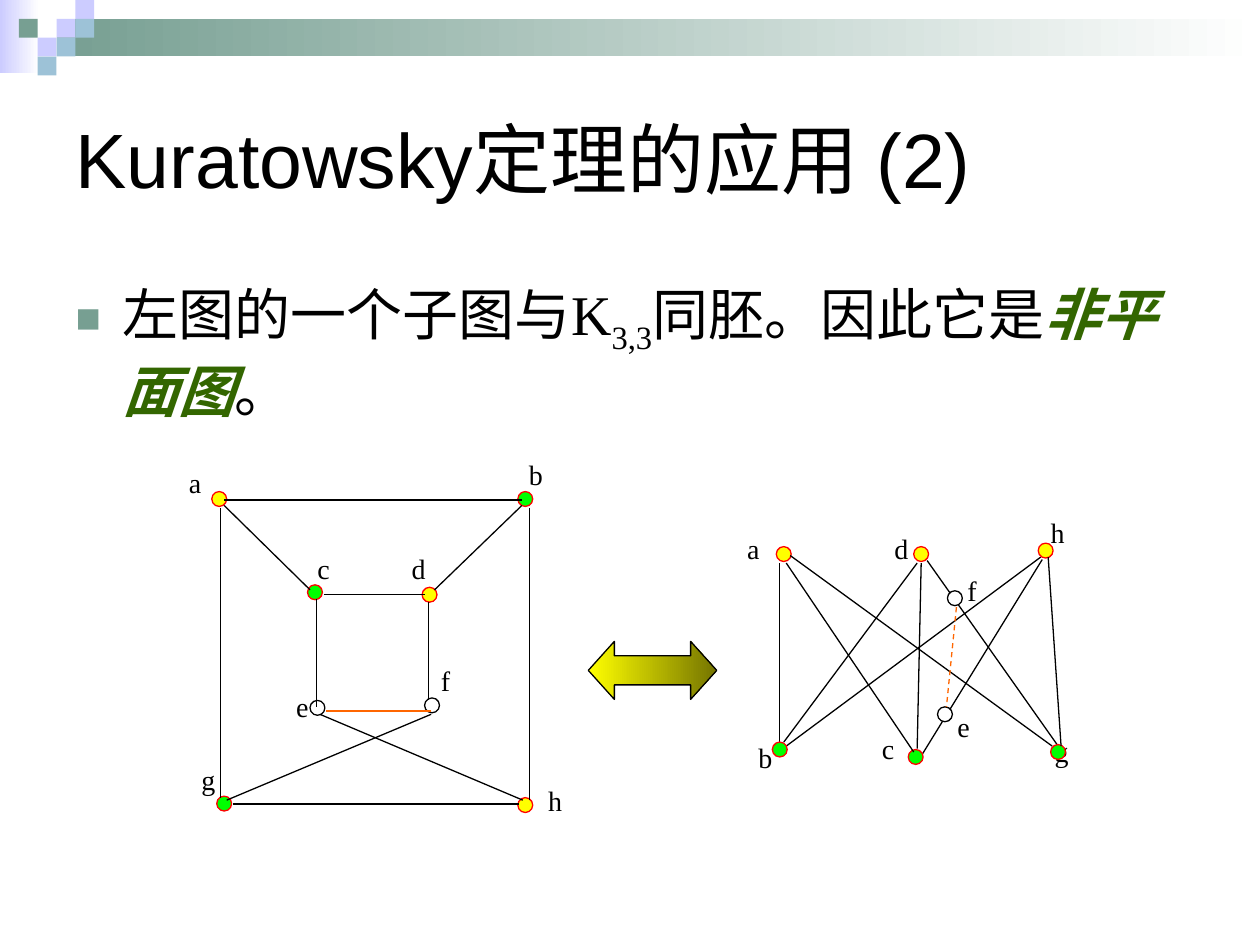
from lxml import etree
from pptx import Presentation
from pptx.dml.color import RGBColor
from pptx.enum import dml, shapes, text
from pptx.oxml import ns
from pptx.util import Cm, Pt

BLACK, WHITE, RED, ORANGE = "000000", "FFFFFF", "FF0000", "FF6600"
YELLOW, GREEN, DARK_GREEN = "FFFF00", "00FF00", "336600"
TEAL, LILAC, SKY = "779F92", "CCCCFF", "9DC2D7"
SERIF = "Times New Roman"
CELL = 0.38  # side of a header square, cm
DOT = 0.3

# vertex: (name, left, top, fill, label left, label top), all in cm
CUBE_VERTICES = [
    ("a", 4.27, 9.91, YELLOW, 3.56, 9.27),
    ("g", 4.37, 16.05, GREEN, 3.81, 15.24),
    ("c", 6.2, 11.79, GREEN, 6.15, 11),
    ("e", 6.25, 14.12, None, 5.72, 13.77),
    ("b", 10.44, 9.91, GREEN, 10.41, 9.09),
    ("h", 10.44, 16.08, YELLOW, 10.8, 15.67),
    ("f", 8.56, 14.07, WHITE, 8.64, 13.26),
    ("d", 8.51, 11.84, YELLOW, 8.05, 11),
]
K33_VERTICES = [
    ("a", 15.65, 11.02, YELLOW, 14.81, 10.59),
    ("d", 18.42, 11.02, YELLOW, 17.78, 10.59),
    ("h", 20.93, 10.95, YELLOW, 20.93, 10.26),
    ("b", 15.57, 14.96, GREEN, 15.04, 14.81),
    ("c", 18.31, 15.11, GREEN, 17.53, 14.63),
    ("g", 21.18, 15.01, GREEN, 21.01, 14.68),
    ("f", 19.1, 11.91, WHITE, 19.25, 11.43),
    ("e", 18.9, 14.25, WHITE, 19.05, 14.17),
]
# edge: (x1, y1, x2, y2) in cm
CUBE_EDGES = [
    (4.52, 10.08, 10.52, 10.08),
    (4.7, 16.21, 10.46, 16.21),
    (4.45, 10.24, 4.45, 16.08),
    (10.67, 10.24, 10.67, 16.13),
    (6.53, 11.99, 8.56, 11.99),
    (6.38, 12.07, 6.38, 14.25),
    (8.64, 12.14, 8.64, 14.12),
    (4.52, 10.19, 6.25, 11.89),
    (8.76, 11.89, 10.52, 10.19),
    (4.57, 16.13, 8.69, 14.4),
    (6.45, 14.4, 10.54, 16.13),
]
K33_EDGES_UNDER = [
    (15.85, 15.04, 20.98, 11.23),
    (21.01, 11.28, 18.57, 15.24),
    (18.69, 11.3, 21.31, 15.01),
    (15.72, 11.35, 15.72, 15.11),
]
K33_EDGES_OVER = [
    (15.85, 11.35, 18.42, 15.16),
    (15.93, 11.2, 21.21, 15.04),
    (18.49, 11.35, 15.8, 14.96),
    (18.57, 11.35, 18.49, 15.09),
    (21.13, 11.23, 21.39, 15.04),
]


def color(hex_code):
    return RGBColor.from_string(hex_code)


def add_text(paragraph, words, size=16, font=SERIF, fill=BLACK, strong=False, baseline=None):
    """Append a run; strong means bold italic, baseline is a percentage."""
    run = paragraph.add_run()
    run.text = words
    run.font.size = Pt(size)
    run.font.name = font
    run.font.color.rgb = color(fill)
    run.font.bold = run.font.italic = strong
    if baseline is not None:
        run.font._element.set("baseline", str(baseline * 1000))


def add_figure(slide, kind, box, fill=None, outline=None):
    """Add a preset shape; a pair of colours as fill runs from left to right."""
    figure = slide.shapes.add_shape(kind, *map(Cm, box))
    figure.shadow.inherit = False
    if isinstance(fill, tuple):
        figure.fill.gradient()
        figure.fill.gradient_angle = 0
        for stop, shade in zip(figure.fill.gradient_stops, fill):
            stop.color.rgb = color(shade)
    elif fill:
        figure.fill.solid()
        figure.fill.fore_color.rgb = color(fill)
    else:
        figure.fill.background()
    if outline:
        figure.line.color.rgb = color(outline)
        figure.line.width = Pt(0.75)
    else:
        figure.line.fill.background()
    return figure


def add_edge(slide, ends, stroke=BLACK, dashed=False):
    edge = slide.shapes.add_connector(shapes.MSO_CONNECTOR.STRAIGHT, *map(Cm, ends))
    edge.line.color.rgb = color(stroke)
    edge.line.width = Pt(0.75)
    if dashed:
        edge.line.dash_style = dml.MSO_LINE.DASH
    etree.SubElement(edge._element.spPr, ns.qn("a:effectLst"))


def add_edges(slide, edges):
    for ends in edges:
        add_edge(slide, ends)


def add_dots(slide, vertices):
    for _, left, top, fill, *_ in vertices:
        outline = RED if fill in (YELLOW, GREEN) else BLACK
        add_figure(slide, shapes.MSO_SHAPE.OVAL, (left, top, DOT, DOT), fill, outline)


def add_labels(slide, vertices):
    for name, *_, left, top in vertices:
        label = slide.shapes.add_textbox(*map(Cm, (left, top, 1.42, 1.75))).text_frame
        label.word_wrap = True
        label.paragraphs[0].alignment = text.PP_ALIGN.JUSTIFY
        add_text(label.paragraphs[0], name)


def add_header(slide):
    rectangle = shapes.MSO_SHAPE.RECTANGLE
    add_figure(slide, rectangle, (0, 0, 0.79, 1.47), (LILAC, WHITE))
    add_figure(slide, rectangle, (3 * CELL, CELL, 24.26, 2 * CELL), (TEAL, WHITE))
    squares = [(3, 1, LILAC), (4, 0, LILAC), (4, 1, SKY), (2, 2, LILAC),
               (1, 1, TEAL), (3, 2, SKY), (2, 3, SKY)]
    for column, row, fill in squares:
        add_figure(slide, rectangle, (column * CELL, row * CELL, CELL, CELL), fill)


def place(placeholder, box, anchor):
    placeholder.left, placeholder.top, placeholder.width, placeholder.height = map(Cm, box)
    frame = placeholder.text_frame
    frame.auto_size = text.MSO_AUTO_SIZE.NONE
    frame.vertical_anchor = anchor
    return frame.paragraphs[0]


def set_bullet(paragraph):
    props = paragraph._p.get_or_add_pPr()
    props.set("marL", str(Cm(0.95)))
    props.set("indent", str(-Cm(0.95)))
    tint = etree.SubElement(props, ns.qn("a:buClr"))
    etree.SubElement(tint, ns.qn("a:srgbClr"), val=TEAL)
    etree.SubElement(props, ns.qn("a:buSzPct"), val="75000")
    etree.SubElement(props, ns.qn("a:buFont"), typeface="Arial")
    etree.SubElement(props, ns.qn("a:buChar"), char="■")


def fill_placeholders(slide):
    title = place(slide.shapes.title, (1.27, 1.27, 22.86, 3.81), text.MSO_ANCHOR.MIDDLE)
    title.alignment = text.PP_ALIGN.LEFT
    add_text(title, "Kuratowsky定理的应用 (2)", size=44, font="Arial")

    claim = place(slide.placeholders[1], (1.27, 5.51, 22.86, 10.8), text.MSO_ANCHOR.TOP)
    claim.space_before = Pt(8)
    set_bullet(claim)
    add_text(claim, "左图的一个子图与K", size=32)
    add_text(claim, "3,3", size=32, baseline=-25)
    add_text(claim, "同胚。因此它是", size=32)
    add_text(claim, "非平面图", size=32, fill=DARK_GREEN, strong=True)
    add_text(claim, "。", size=32)


def add_cube_graph(slide):
    add_dots(slide, CUBE_VERTICES)
    add_edges(slide, CUBE_EDGES)
    add_edge(slide, (6.58, 14.33, 8.69, 14.33), ORANGE)
    add_labels(slide, CUBE_VERTICES)


def add_k33_graph(slide):
    add_edges(slide, K33_EDGES_UNDER)
    add_labels(slide, K33_VERTICES)
    add_dots(slide, K33_VERTICES)
    add_edges(slide, K33_EDGES_OVER)
    add_edge(slide, (19.28, 12.24, 19.08, 14.25), ORANGE, dashed=True)


def main():
    deck = Presentation()
    deck.slide_width, deck.slide_height = Cm(25.4), Cm(19.05)
    slide = deck.slides.add_slide(deck.slide_layouts[1])
    add_header(slide)
    fill_placeholders(slide)
    add_cube_graph(slide)
    add_k33_graph(slide)
    equivalence = add_figure(slide, shapes.MSO_SHAPE.LEFT_RIGHT_ARROW,
                             (11.86, 12.93, 2.59, 1.17), (YELLOW, "757500"), BLACK)
    equivalence.adjustments[0] = 0.5
    equivalence.adjustments[1] = 0.45
    deck.save("out.pptx")


if __name__ == "__main__":
    main()
